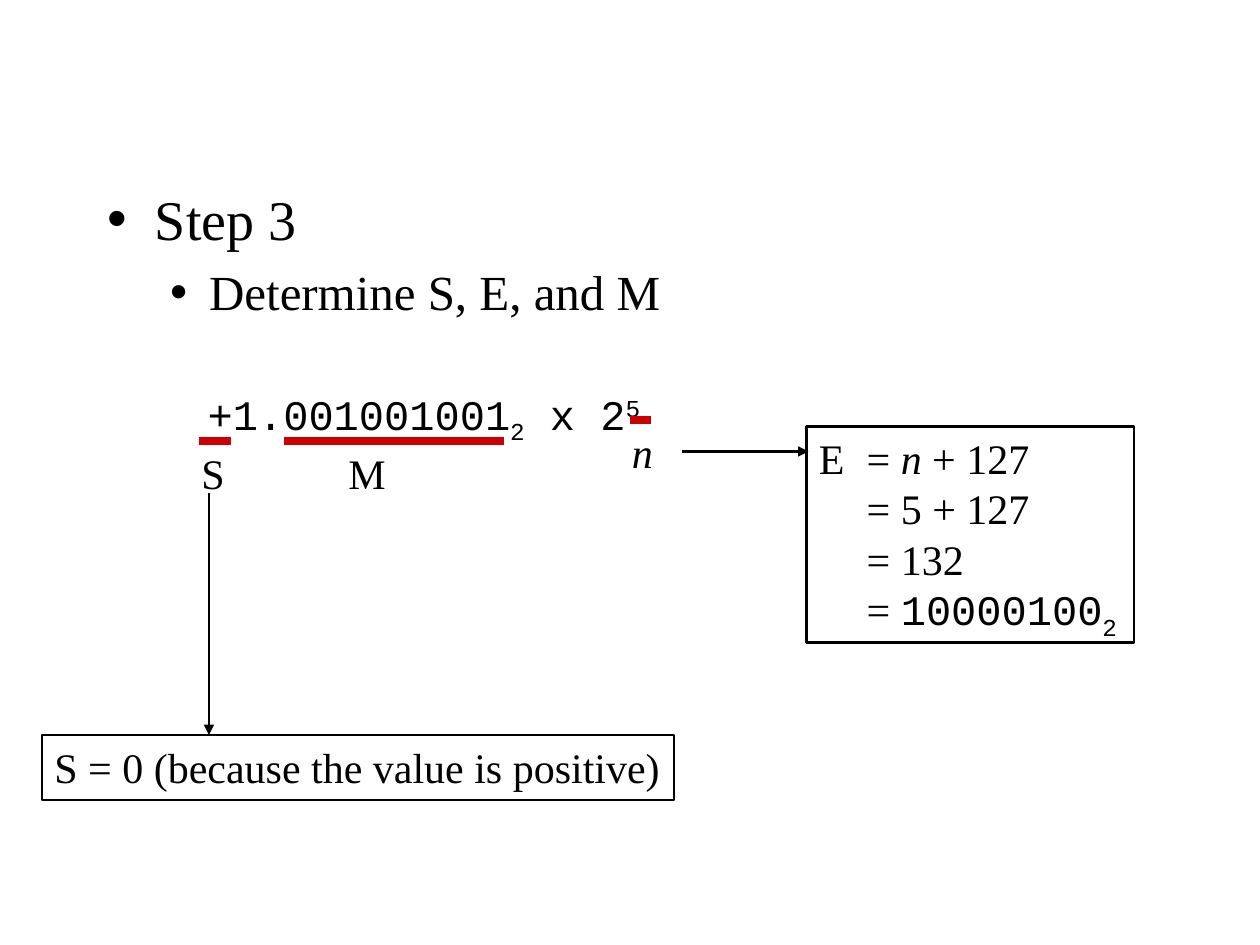
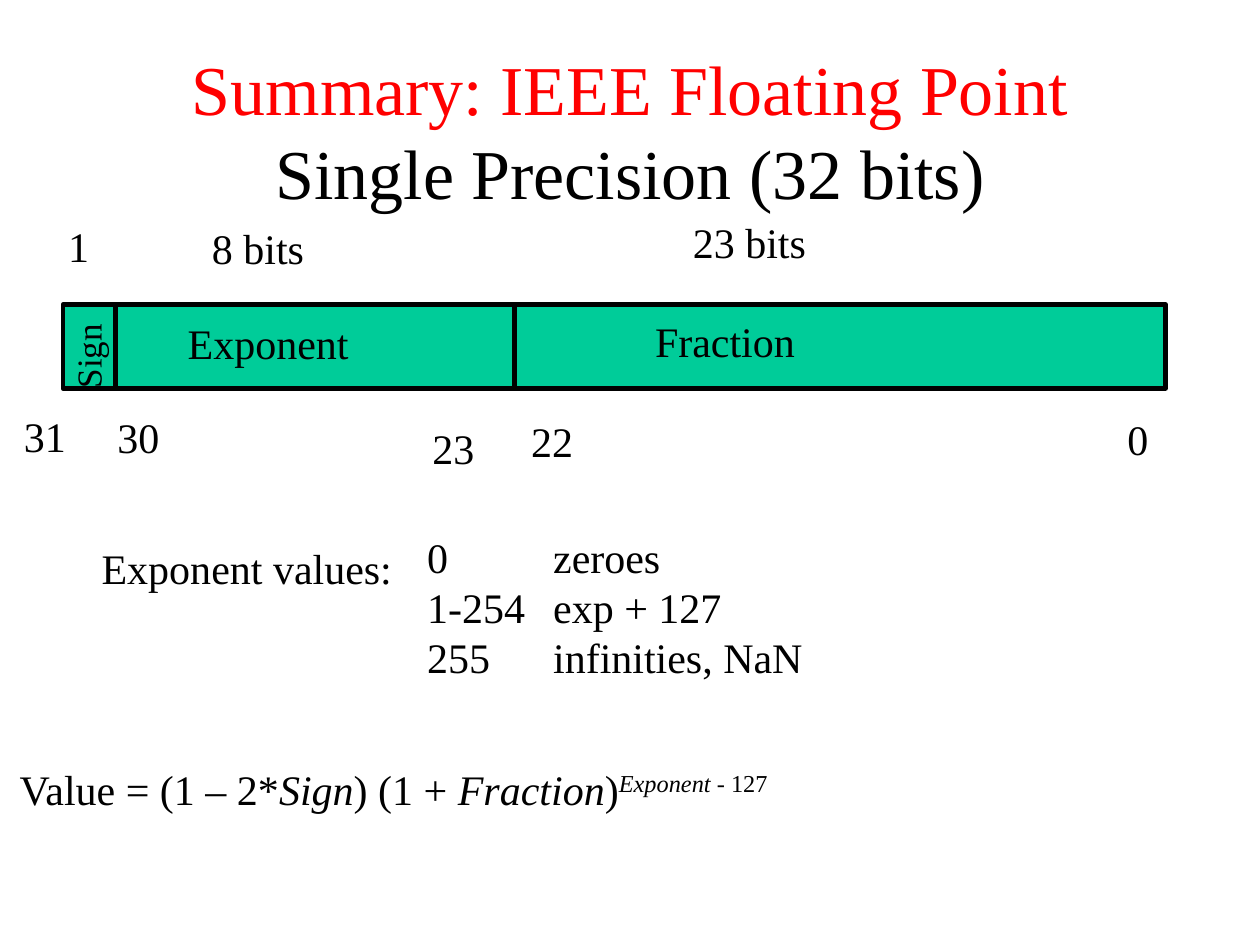
from lxml.etree import SubElement
from pptx import Presentation
from pptx.dml.color import RGBColor
from pptx.enum.shapes import MSO_CONNECTOR, MSO_SHAPE
from pptx.enum.text import MSO_ANCHOR, MSO_AUTO_SIZE, PP_ALIGN
from pptx.oxml.ns import qn
from pptx.util import Inches, Pt

WIDTH, HEIGHT = Inches(10), Inches(7.5)
UNIT = WIDTH / 120

BLACK, RED, UNDERLINE, GREEN = "000000", "FF0000", "CC0000", "00CC99"
SERIF, MONO = "Times New Roman", "Courier New"

ITALIC = {"italic": True}
CODE = {"name": MONO}
SUB, SUPER = -25000, 30000

STEP_AREA = (9, 17, 102, 54)
STEP_LINES = [
    ("Step 3", 32, 0.38, -0.38),
    ("Determine S, E, and M", 28, 0.81, -0.31),
]
STEP_TEXTS = [
    ((18.6, 36.4, 44, 6), [[("+1.001001001", CODE), ("2", CODE, SUB),
                            (" x 2", CODE), ("5", CODE, SUPER)]]),
    ((32, 42, 6, 6), [[("M",)]]),
    ((18, 42, 4.7, 6), [[("S",)]]),
    ((59, 40, 4.4, 6), [[("n", ITALIC)]]),
]
SIGN_BOX = ((4, 70, 60.2, 6.2), [[("S = 0 (because the value is positive)",)]])
EXPONENT_BOX = ((76.8, 40.6, 31.2, 20.6), [
    [("E\t= ",), ("n", ITALIC), (" + 127",)],
    [("\t= 5 + 127",)],
    [("\t= 132",)],
    [("\t= ",), ("10000100", CODE), ("2", CODE, SUB)],
])
EXPONENT_TAB = 0.38
UNDERLINES = [(27, 48, 42), (19, 22, 42), (60, 62, 40)]
ARROWS = [(19.9, 47, 19.9, 70), (65, 43, 77, 43)]

TITLE_AREA = (6, 4.8, 108, 15)
TITLE_LINES = [("Summary: IEEE Floating Point", RED), ("Single Precision (32 bits)", BLACK)]
TITLE_SIZE = 40
BAR = (6, 29, 105, 8)
DIVIDERS = [11, 49]
LABEL_HEIGHT = 7.6
LABELS = [
    ("31", 1.1, 38.5, 9.2),
    ("30", 10, 38.6, 9.2),
    ("23", 40, 39.6, 9.2),
    ("22", 49.4, 39, 9.2),
    ("0", 106.2, 38.8, 5.8),
    ("Exponent", 16.7, 29.6, 27.6),
    ("Fraction", 61.2, 29.5, 23.9),
    ("1", 5.3, 20.4, 5.8),
    ("8 bits", 19, 20.6, 17.4),
    ("23 bits", 64.8, 20, 20.8),
]
SIGN_LABEL = ((3.2, 30.4, 10.3, 5.2), [[("Sign", {"size": Pt(20)})]])
VALUES_HEADING = ((8.5, 51.1, 35.5, 14), [[("Exponent values:",)]])
VALUES = ((39.5, 50, 75.7, 20.4), [
    [("0\t\tzeroes",)], [("1-254\texp + 127",)], [("255\tinfinities, NaN",)],
])
FORMULA = ((0.7, 72.1, 118, LABEL_HEIGHT), [[
    ("Value = (1 – 2*",), ("Sign", ITALIC), (") (1 + ",), ("Fraction", ITALIC), (")",),
    ("Exponent", ITALIC, SUPER), (" - 127", {}, SUPER),
]])


def color(code):
    return RGBColor.from_string(code)


def grid(*lengths):
    return [round(length * UNIT) for length in lengths]


def apply(target, values):
    for name, value in values.items():
        setattr(target, name, value)


def place(shape, area):
    apply(shape, dict(zip(("left", "top", "width", "height"), grid(*area))))


def add_run(paragraph, text, values=None, baseline=0, ink=BLACK):
    run = paragraph.add_run()
    run.text = text
    apply(run.font, {"name": SERIF, "size": Pt(24), **(values or {})})
    run.font.color.rgb = color(ink)
    if baseline:
        run.font._element.set("baseline", str(baseline))


def write(shape, lines, wrap=False, tab=None):
    frame = shape.text_frame
    apply(frame, {"word_wrap": wrap, "auto_size": MSO_AUTO_SIZE.SHAPE_TO_FIT_TEXT,
                  "vertical_anchor": MSO_ANCHOR.TOP})
    for index, runs in enumerate(lines):
        paragraph = frame.add_paragraph() if index else frame.paragraphs[0]
        if tab:
            stops = SubElement(paragraph._p.get_or_add_pPr(), qn("a:tabLst"))
            SubElement(stops, qn("a:tab"), pos=str(Inches(tab)), algn="l")
        paragraph.alignment = PP_ALIGN.LEFT
        for run in runs:
            add_run(paragraph, *run)


def add_text(slide, area, lines, wrap=False):
    box = slide.shapes.add_textbox(*grid(*area))
    write(box, lines, wrap)
    return box


def add_box(slide, area, weight, fill=None):
    box = slide.shapes.add_shape(MSO_SHAPE.RECTANGLE, *grid(*area))
    box.shadow.inherit = False
    if fill:
        box.fill.solid()
        box.fill.fore_color.rgb = color(fill)
    else:
        box.fill.background()
    box.line.color.rgb = color(BLACK)
    box.line.width = Pt(weight)
    return box


def add_line(slide, ends, weight, ink=BLACK, arrow=False):
    line = slide.shapes.add_connector(MSO_CONNECTOR.STRAIGHT, *grid(*ends))
    line.line.color.rgb = color(ink)
    line.line.width = Pt(weight)
    if arrow:
        SubElement(line.line._get_or_add_ln(), qn("a:tailEnd"), type="triangle")
    SubElement(line._element.spPr, qn("a:effectLst"))


def build_step(deck):
    slide = deck.slides.add_slide(deck.slide_layouts[1])
    title = slide.shapes.title._element
    title.getparent().remove(title)
    body = slide.placeholders[1]
    place(body, STEP_AREA)
    frame = body.text_frame
    frame.auto_size = MSO_AUTO_SIZE.NONE
    for level, (text, size, margin, indent) in enumerate(STEP_LINES):
        paragraph = frame.add_paragraph() if level else frame.paragraphs[0]
        paragraph.level = level
        properties = paragraph._p.get_or_add_pPr()
        properties.set("marL", str(Inches(margin)))
        properties.set("indent", str(Inches(indent)))
        SubElement(properties, qn("a:buChar"), char="•")
        if level == 0:
            paragraph.space_before = Pt(0)
        add_run(paragraph, text, {"size": Pt(size)})
    for area, lines in STEP_TEXTS:
        add_text(slide, area, lines)
    for (area, lines), tab in ((SIGN_BOX, None), (EXPONENT_BOX, EXPONENT_TAB)):
        write(add_box(slide, area, 1.5), lines, tab=tab)
    for left, right, y in UNDERLINES:
        add_line(slide, (left, y, right, y), 4.5, UNDERLINE)
    for ends in ARROWS:
        add_line(slide, ends, 1.5, arrow=True)


def build_summary(deck):
    slide = deck.slides.add_slide(deck.slide_layouts[5])
    title = slide.shapes.title
    place(title, TITLE_AREA)
    apply(title.text_frame, {"auto_size": MSO_AUTO_SIZE.NONE,
                             "vertical_anchor": MSO_ANCHOR.MIDDLE})
    heading = title.text_frame.paragraphs[0]
    heading.alignment = PP_ALIGN.CENTER
    for index, (text, ink) in enumerate(TITLE_LINES):
        if index:
            line_break = SubElement(heading._p, qn("a:br"))
            SubElement(line_break, qn("a:rPr"), sz=str(TITLE_SIZE * 100))
        add_run(heading, text, {"size": Pt(TITLE_SIZE)}, ink=ink)
    add_box(slide, BAR, 2.5, GREEN)
    top, bottom = BAR[1], BAR[1] + BAR[3]
    for x in DIVIDERS:
        add_line(slide, (x, top, x, bottom), 2.5)
    for text, left, label_top, width in LABELS:
        add_text(slide, (left, label_top, width, LABEL_HEIGHT), [[(text,)]])
    add_text(slide, *SIGN_LABEL, wrap=True).rotation = 270
    for area, lines in (VALUES_HEADING, VALUES):
        add_text(slide, area, lines, wrap=True)
    add_text(slide, *FORMULA)


def main():
    deck = Presentation()
    apply(deck, {"slide_width": WIDTH, "slide_height": HEIGHT})
    build_step(deck)
    build_summary(deck)
    deck.save("out.pptx")


if __name__ == "__main__":
    main()
